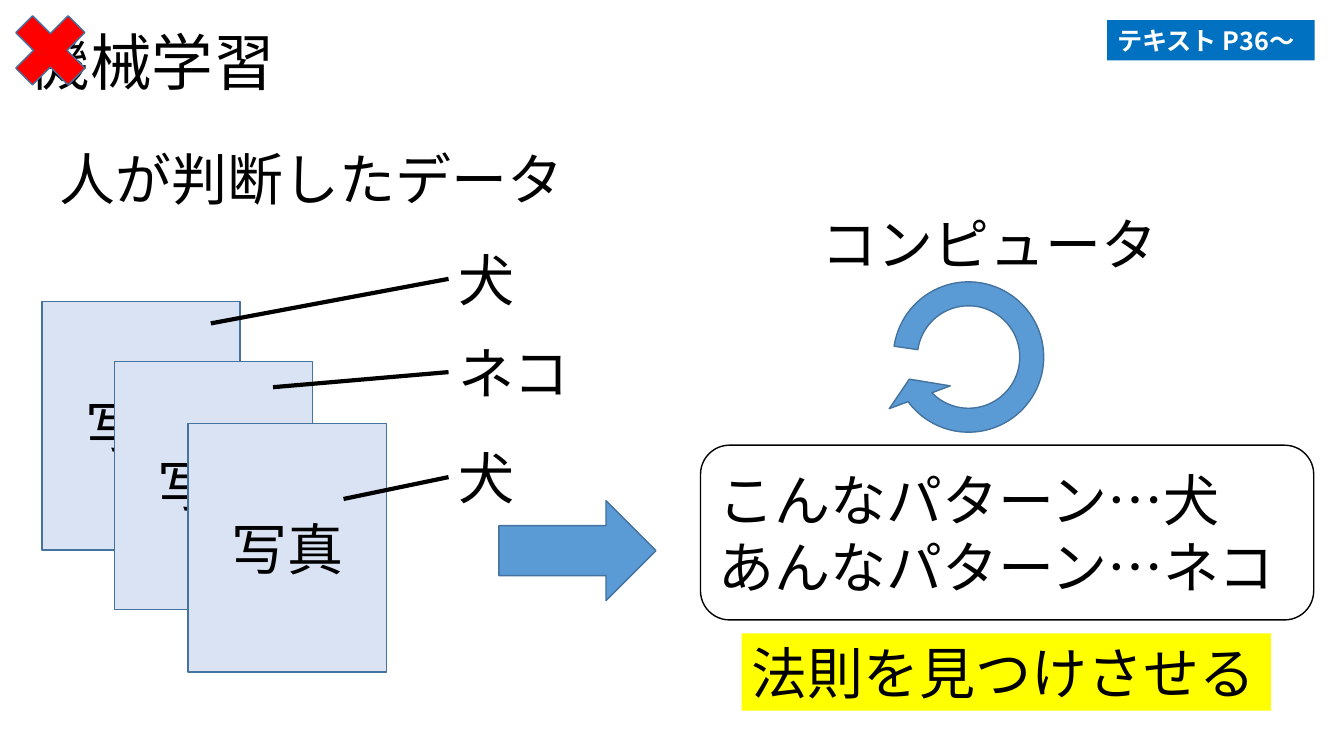
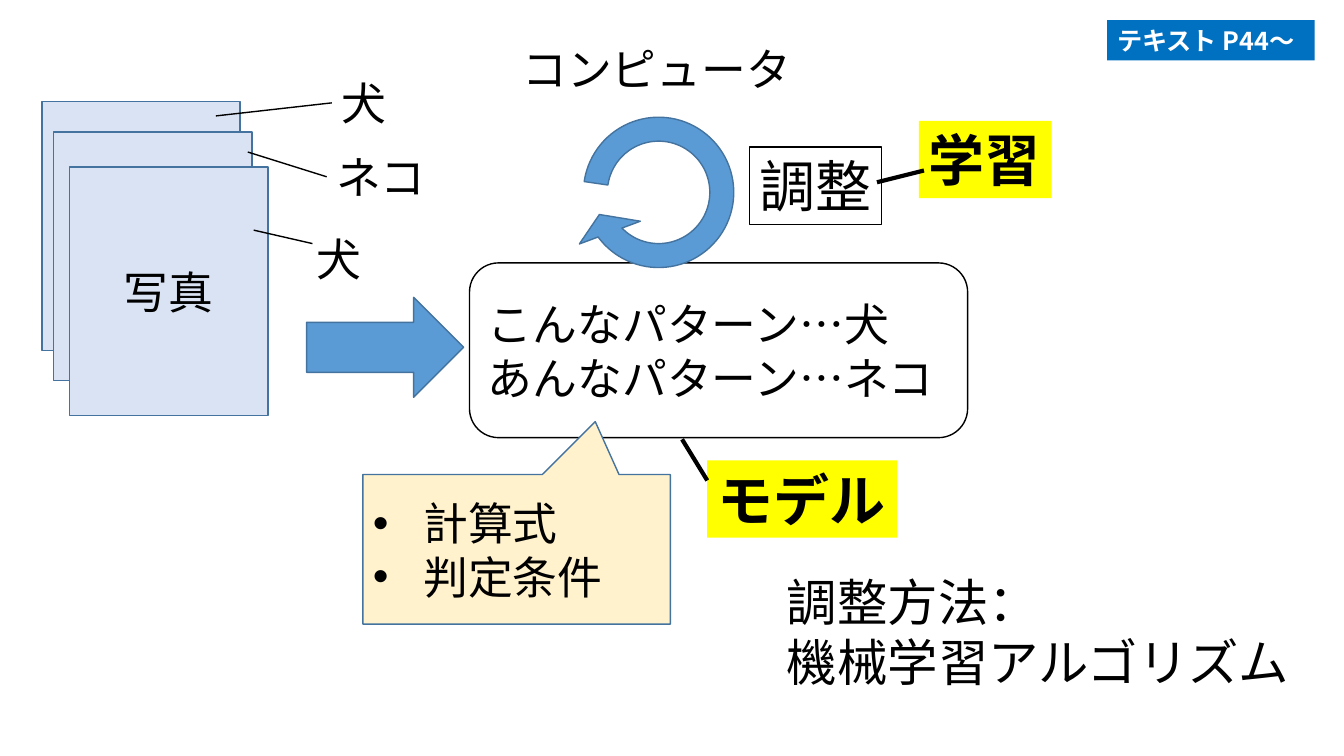
"""Build two slides that explain machine learning with photos, labels and patterns."""
from lxml.etree import SubElement
from pptx import Presentation
from pptx.dml.color import RGBColor
from pptx.enum.shapes import MSO_CONNECTOR, MSO_SHAPE
from pptx.enum.text import MSO_ANCHOR, MSO_AUTO_SIZE, PP_ALIGN
from pptx.oxml.ns import qn
from pptx.util import Emu, Inches, Pt

COLORS = {
    "black": "000000", "white": "FFFFFF", "photo": "DAE3F3", "outline": "43739E",
    "arrow": "5B9BD5", "highlight": "FFFF00", "badge": "0070C0", "cross": "FF0000",
    "callout": "FFF2CC",
}
FONT = "Noto Sans CJK JP"
COLUMNS, ROWS = 160, 90
CELL = Inches(1) // 12
PHOTO_SIZE = (23.6, 29.6)
ARROW_SIZE = (18.7, 11.9)
CYCLE_SIZE = (22.8, 22.8)
CYCLE_ADJUSTMENTS = (0.125, 11.423, 204.577, 17.258, 0.17)


def add_item(slide, kind, box, text="", size=40, fill=None, line=None, weight=1,
             color="black", bold=False, align=PP_ALIGN.LEFT):
    """Add a shape, or a text box when kind is None, at grid cells (left, top, width, height)."""
    lengths = [Emu(round(value * CELL)) for value in box]
    if kind is None:
        shape = slide.shapes.add_textbox(*lengths)
    else:
        shape = slide.shapes.add_shape(kind, *lengths)
        shape.shadow.inherit = False
    if fill:
        shape.fill.solid()
        shape.fill.fore_color.rgb = RGBColor.from_string(COLORS[fill])
    else:
        shape.fill.background()
    if line:
        shape.line.color.rgb = RGBColor.from_string(COLORS[line])
        shape.line.width = Pt(weight)
    else:
        shape.line.fill.background()
    if text:
        frame = shape.text_frame
        frame.text = text
        frame.word_wrap = kind is not None
        if kind is None:
            frame.auto_size = MSO_AUTO_SIZE.SHAPE_TO_FIT_TEXT
        else:
            frame.vertical_anchor = MSO_ANCHOR.MIDDLE
        for paragraph in frame.paragraphs:
            paragraph.alignment = align
            for run in paragraph.runs:
                run.font.name, run.font.size, run.font.bold = FONT, Pt(size), bold
                run.font.color.rgb = RGBColor.from_string(COLORS[color])
                SubElement(run.font._element, qn("a:ea")).set("typeface", FONT)
    return shape


def add_line(slide, start, end, weight):
    """Add a straight black line between two grid points."""
    points = [Emu(round(value * CELL)) for value in (*start, *end)]
    connector = slide.shapes.add_connector(MSO_CONNECTOR.STRAIGHT, *points)
    connector.line.color.rgb = RGBColor.from_string(COLORS["black"])
    connector.line.width = Pt(weight)
    SubElement(connector._element.spPr, qn("a:effectLst"))
    return connector


presentation = Presentation()
presentation.slide_width = COLUMNS * CELL
presentation.slide_height = ROWS * CELL

layouts = [
    {
        "page": "P36～", "size": 40, "weight": 3,
        "photos": [(5, 35.9, "写真"), (13.6, 43, "写真"), (22.4, 50.4, "写真")],
        "labels": [
            ("犬", (53.4, 28.6, 9.1, 9.2), (25.1, 38.5), None),
            ("ネコ", (53.4, 39.7, 15.8, 9.2), (32.5, 46.1), None),
            ("犬", (53.4, 52.2, 9.1, 9.2), (40.9, 59.4), None),
        ],
        "arrow": (59.4, 59.6), "cycle": (103.9, 31.1),
        "computer": (96.6, 24.4, 42.8, 9.2), "patterns": (83.4, 53, 73, 20.8),
    },
    {
        "page": "P44～", "size": 32, "weight": 1,
        "photos": [(5, 12.1, ""), (6.4, 15.7, "写真"), (8.3, 19.9, "写真")],
        "labels": [
            ("犬", (39.5, 8.4, 7.8, 7.7), (25.7, 13.8), None),
            ("ネコ", (38.9, 17.2, 13.2, 7.7), (29.5, 18.1), None),
            ("犬", (36.5, 27, 7.8, 7.7), (30.2, 27.4), (37.2, 29)),
        ],
        "arrow": (36.5, 35.4), "cycle": (67, 11.5),
        "computer": (61, 4.4, 34.7, 7.7), "patterns": (55.9, 31.3, 59.3, 20.8),
    },
]

slides = []
for layout in layouts:
    slide = presentation.slides.add_slide(presentation.slide_layouts[6])
    slides.append(slide)
    size = layout["size"]
    for left, top, text in layout["photos"]:
        add_item(slide, MSO_SHAPE.RECTANGLE, (left, top, *PHOTO_SIZE), text, size,
                 "photo", "outline", align=PP_ALIGN.CENTER)
    for text, box, start, end in layout["labels"]:
        label = add_item(slide, None, box, text, size)
        connector = add_line(slide, start, end or box[:2], layout["weight"])
        if end is None:
            connector.end_connect(label, 1)
    add_item(slide, MSO_SHAPE.RIGHT_ARROW, (*layout["arrow"], *ARROW_SIZE),
             fill="arrow", line="outline")
    add_item(slide, None, layout["computer"], "コンピュータ", size)
    add_item(slide, MSO_SHAPE.ROUNDED_RECTANGLE, layout["patterns"],
             "こんなパターン…犬\nあんなパターン…ネコ", size, "white", "black")
    cycle = add_item(slide, MSO_SHAPE.CIRCULAR_ARROW, (*layout["cycle"], *CYCLE_SIZE),
                     fill="arrow", line="outline")
    for index, value in enumerate(CYCLE_ADJUSTMENTS):
        cycle.adjustments[index] = value
    cycle.rotation = 159.5
    add_item(slide, None, (131.8, 2.4, 24.7, 4.8), f"テキスト {layout['page']}", 18,
             "badge", color="white", bold=True)

overview, model = slides

title = add_item(overview, MSO_SHAPE.RECTANGLE, (2.2, 0.8, 130.9, 14), "機械学習", 44)
title.text_frame.paragraphs[0].line_spacing = 0.9
add_item(overview, None, (5.9, 16.6, 63, 9.2), "人が判断したデータ")
add_item(overview, None, (88.3, 75.4, 63, 9.2), "法則を見つけさせる", fill="highlight")
add_item(overview, MSO_SHAPE.MATH_MULTIPLY, (0, 0, 12, 12), fill="cross", line="outline")

add_item(model, None, (89.2, 17.5, 15.8, 9.2), "調整", line="black", weight=0.75)
add_item(model, None, (109.4, 14.4, 15.8, 9.2), "学習", fill="highlight", bold=True)
add_line(model, (104.4, 21.7), (110, 20.3), 3)
callout = add_item(model, MSO_SHAPE.RECTANGULAR_CALLOUT, (43.2, 56.5, 36.6, 17.8),
                   "計算式\n判定条件", 32, "callout", "outline")
callout.adjustments[0], callout.adjustments[1] = 0.256, -0.854
for paragraph in callout.text_frame.paragraphs:
    properties = paragraph._p.get_or_add_pPr()
    properties.set("marL", str(Inches(0.5)))
    properties.set("indent", str(-Inches(0.5)))
    SubElement(properties, qn("a:buFont")).set("typeface", "Arial")
    SubElement(properties, qn("a:buChar")).set("char", "•")
add_item(model, None, (84.2, 54.8, 22.6, 9.2), "モデル", fill="highlight", bold=True)
add_line(model, (84.2, 57.2), (81.2, 52.3), 3)
add_item(model, None, (92.5, 67.4, 63, 15.7), "調整方法：\n機械学習アルゴリズム", 36)

presentation.save("out.pptx")
